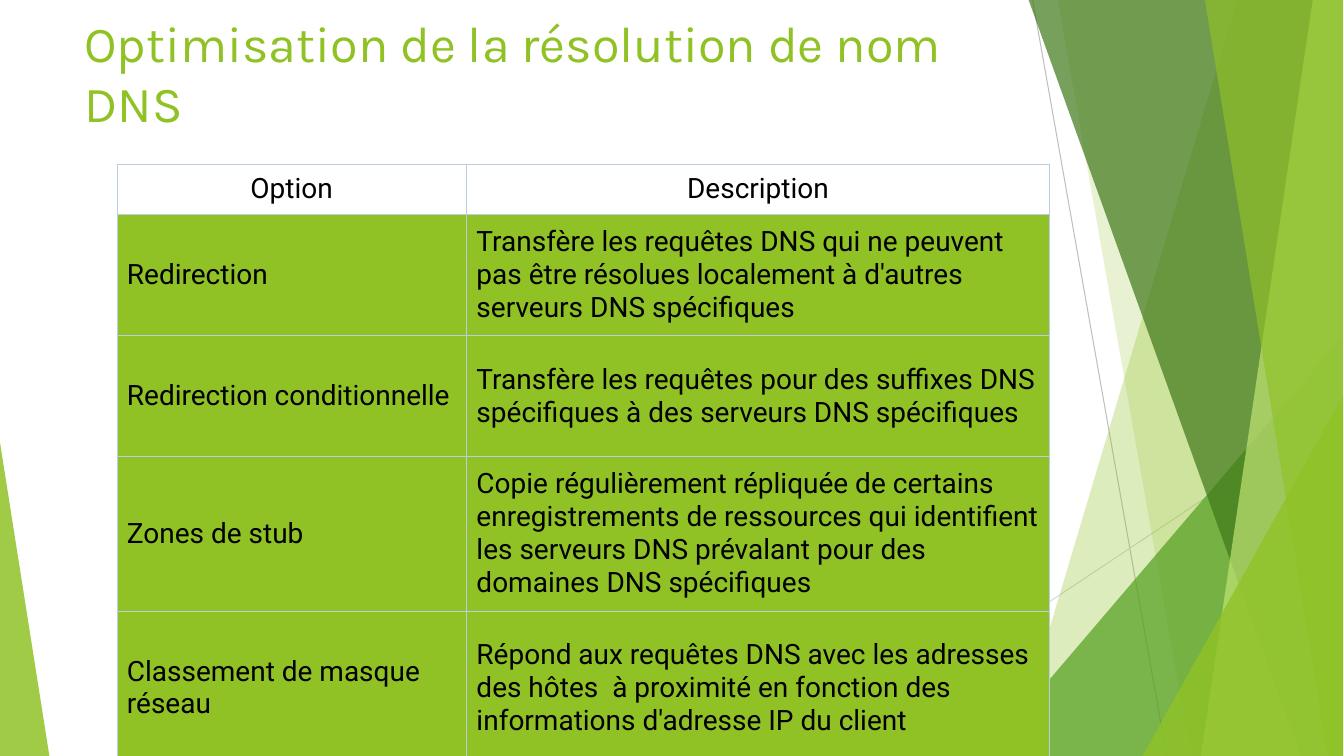
from dataclasses import dataclass

from lxml import etree
from pptx import Presentation
from pptx.dml.color import RGBColor
from pptx.enum.shapes import MSO_CONNECTOR, MSO_SHAPE
from pptx.enum.text import MSO_ANCHOR, PP_ALIGN
from pptx.oxml.ns import qn
from pptx.util import Inches, Pt

STRAIGHT = MSO_CONNECTOR.STRAIGHT
TRIANGLE = MSO_SHAPE.ISOSCELES_TRIANGLE
MIDDLE = MSO_ANCHOR.MIDDLE
LEFT, CENTER = PP_ALIGN.LEFT, PP_ALIGN.CENTER


@dataclass(frozen=True)
class Theme:
    green: str = "90C226"
    leaf: str = "54A021"
    dark: str = "3F7819"
    lime: str = "C0E474"
    gray: str = "BFBFBF"
    pale: str = "D9D9D9"
    edge: str = "BBCDE3"
    ink: str = "000000"
    head_font: str = "Karla"
    body_font: str = "Roboto"
    head_size: float = 36
    body_size: float = 20
    rule: float = 0.75
    border: float = 0.45


THEME = Theme()
WIDE, HIGH = 13.34, 7.5
TITLE = "Optimisation de la résolution de nom DNS"
COLS = (3.47, 5.79)
ROWS = (0.5, 1.2, 1.2, 1.53, 1.53)
CELLS = (
    ("Option", "Description"),
    ("Redirection",
     "Transfère les requêtes DNS qui ne peuvent pas être résolues "
     "localement à d'autres serveurs DNS spécifiques"),
    ("Redirection conditionnelle",
     "Transfère les requêtes pour des suffixes DNS spécifiques à des "
     "serveurs DNS spécifiques"),
    ("Zones de stub",
     "Copie régulièrement répliquée de certains enregistrements de "
     "ressources qui identifient les serveurs DNS prévalant pour des "
     "domaines DNS spécifiques"),
    ("Classement de masque réseau",
     "Répond aux requêtes DNS avec les adresses des hôtes  à proximité "
     "en fonction des informations d'adresse IP du client"),
)


def paint(shape, color, alpha):
    """Fill a shape with a see-through colour and no outline."""
    shape.shadow.inherit = False
    shape.line.fill.background()
    shape.fill.solid()
    shape.fill.fore_color.rgb = RGBColor.from_string(color)
    tone = shape.fill._xPr.find(qn("a:solidFill"))[0]
    etree.SubElement(tone, qn("a:alpha"), val=str(alpha * 1000))


def add_run(para, text, font, size, color):
    run = para.add_run()
    run.text = text
    run.font.name = font
    run.font.size = Pt(size)
    run.font.color.rgb = RGBColor.from_string(color)


def add_line(slide, start, end, color):
    line = slide.shapes.add_connector(
        STRAIGHT, *(Inches(n) for n in (*start, *end)))
    line.line.color.rgb = RGBColor.from_string(color)
    line.line.width = Pt(THEME.rule)
    etree.SubElement(line._element.spPr, qn("a:effectLst"))


def add_facet(slide, box, top, base, color, alpha):
    """Band from a slanted left edge to the right side of the box."""
    left, y, width, height = box
    right, low = left + width, y + height
    points = [(left + top, y), (right, y), (right, low), (left + base, low)]
    points = [(Inches(px), Inches(py)) for px, py in points]
    form = slide.shapes.build_freeform(*points[0])
    form.add_line_segments(points[1:], close=True)
    paint(form.convert_to_shape(), color, alpha)


def add_wedge(slide, box, tip, color, alpha):
    wedge = slide.shapes.add_shape(TRIANGLE, *(Inches(n) for n in box))
    wedge.adjustments[0] = tip
    paint(wedge, color, alpha)


def add_decor(slide, box):
    """Overlapping facets at the right, placed from the box's left edge."""
    left, top, width, height = box
    right, low = left + width, top + height
    add_line(slide, (left + 0.25, top), (left + 1.58, low), THEME.gray)
    add_line(slide, (right, top + 4.03), (left - 1.88, low), THEME.pale)

    def facet(*args):
        add_facet(slide, box, *args)

    def wedge(wide, tall, *args):
        add_wedge(slide, (right - wide, low - tall, wide, tall), 1, *args)

    facet(2.28, 0.04, THEME.green, 30)
    facet(0.5, 1.82, THEME.green, 20)
    wedge(3.56, 4.17, THEME.leaf, 72)
    facet(0.21, 2.91, THEME.dark, 70)
    facet(3.03, 1.92, THEME.lime, 70)
    facet(1.96, 3.18, THEME.green, 65)
    wedge(1.99, 3.57, THEME.green, 80)


def add_title(slide, box):
    frame = slide.shapes.add_textbox(*(Inches(n) for n in box)).text_frame
    frame.word_wrap = True
    frame.vertical_anchor = MIDDLE
    add_run(frame.paragraphs[0], TITLE,
            THEME.head_font, THEME.head_size, THEME.green)


def add_border(cell):
    props = cell._tc.get_or_add_tcPr()
    for side in ("lnL", "lnR", "lnT", "lnB"):
        line = etree.SubElement(props, qn("a:" + side),
                                w=str(Pt(THEME.border)))
        fill = etree.SubElement(line, qn("a:solidFill"))
        etree.SubElement(fill, qn("a:srgbClr"), val=THEME.edge)


def fill_cell(cell, text, head):
    add_border(cell)
    cell.vertical_anchor = MIDDLE
    if head:
        cell.fill.background()
    else:
        cell.fill.solid()
        cell.fill.fore_color.rgb = RGBColor.from_string(THEME.green)
    para = cell.text_frame.paragraphs[0]
    para.alignment = CENTER if head else LEFT
    if head:
        para.line_spacing = 0.9
    add_run(para, text, THEME.body_font, THEME.body_size, THEME.ink)


def add_options(slide, left, top):
    """Table of options; its size follows from its rows and columns."""
    frame = slide.shapes.add_table(
        len(ROWS), len(COLS), Inches(left), Inches(top),
        Inches(sum(COLS)), Inches(sum(ROWS)))
    table = frame.table
    table.first_row = table.horz_banding = False
    for col, wide in zip(table.columns, COLS):
        col.width = Inches(wide)
    for i, (row, tall) in enumerate(zip(table.rows, ROWS)):
        row.height = Inches(tall)
        for cell, text in zip(row.cells, CELLS[i]):
            fill_cell(cell, text, head=i == 0)


def main():
    deck = Presentation()
    deck.slide_width, deck.slide_height = Inches(WIDE), Inches(HIGH)
    slide = deck.slides.add_slide(deck.slide_layouts[6])
    # Backdrop
    add_decor(slide, (10, 0, 3.33, HIGH))
    add_wedge(slide, (0, 4.39, 0.49, 3.11), 0, THEME.green, 85)
    # Content
    add_title(slide, (0.74, 0, 9.4, 1.44))
    add_options(slide, 1.16, 1.63)
    deck.save("out.pptx")


if __name__ == "__main__":
    main()
